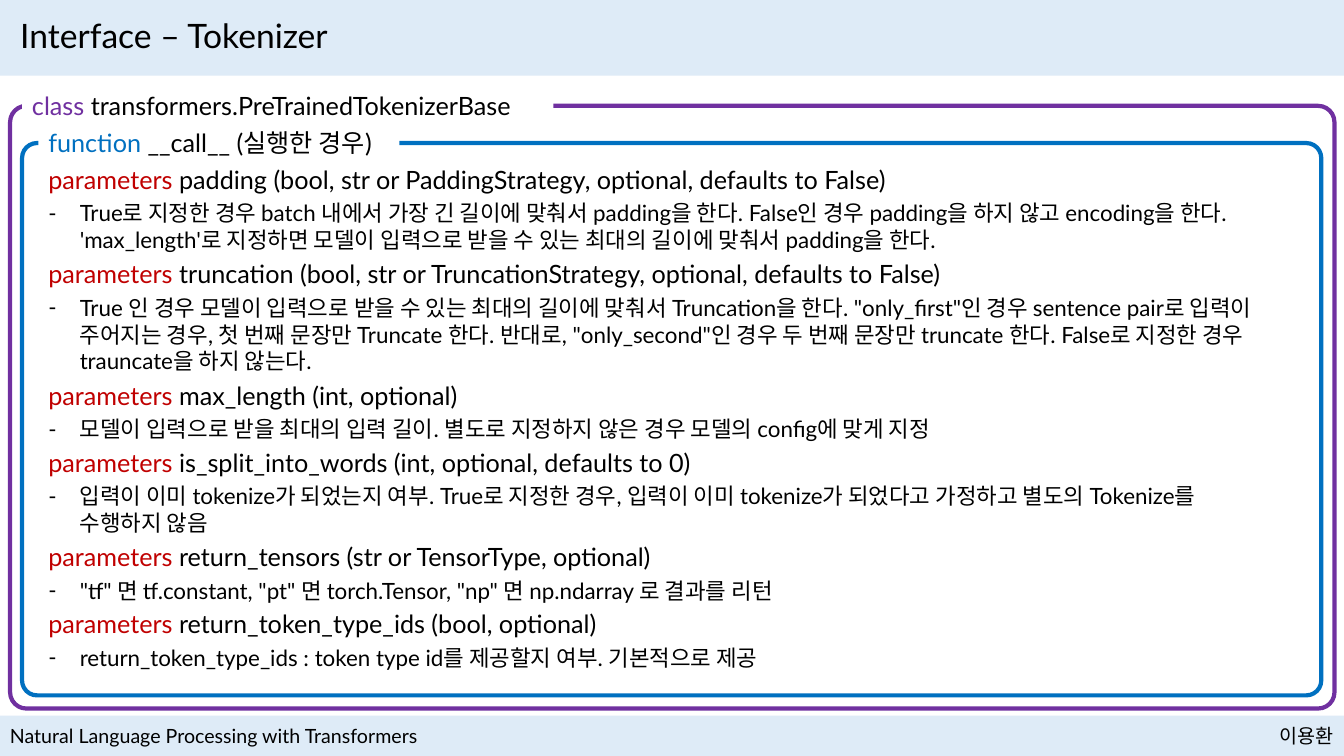
"""Build the Tokenizer interface slide with nested class and function frames."""
from dataclasses import dataclass

from lxml import etree
from pptx import Presentation
from pptx import util as u
from pptx.dml.color import RGBColor
from pptx.enum import shapes, text
from pptx.oxml.ns import qn

FONT = "Lato"
COLORS = {
    "band": "DEEBF7",
    "white": "FFFFFF",
    "black": "000000",
    "class": "7030A0",
    "function": "0070C0",
    "parameters": "C00000",
}
SLIDE_WIDTH, SLIDE_HEIGHT = 960, 540
FIRST_TOP, DESCRIPTION_OFFSET = 113.8, 25.2
BASE_STEP, LINE_STEP = 28.4, 19.5
TEXT_LEFT = 27.4


@dataclass
class Box:
    """Hold a rectangle in points."""

    left: float
    top: float
    width: float
    height: float

    def lengths(self) -> list[u.Length]:
        """Return the four measures as lengths."""
        return [u.Pt(value) for value in (self.left, self.top, self.width, self.height)]


@dataclass
class Frame:
    """Describe a rounded frame with a label on its top edge."""

    keyword: str
    label: str
    outline: Box
    label_box: Box


@dataclass
class Parameter:
    """Describe one parameter and the line count of its description."""

    signature: str
    description: str
    lines: int


FRAMES = [
    Frame("class", "transformers.PreTrainedTokenizerBase",
          Box(7.2, 75.6, 946, 430.5), Box(15.8, 60.5, 379.5, 29)),
    Frame("function", "__call__ (실행한 경우)",
          Box(15.8, 102.2, 928, 394.5), Box(27.4, 87.1, 257.8, 29)),
]

PARAMETERS = [
    Parameter(
        "padding (bool, str or PaddingStrategy, optional, defaults to False)",
        "True로 지정한 경우 batch 내에서 가장 긴 길이에 맞춰서 padding을 한다. "
        "False인 경우 padding을 하지 않고 encoding을 한다. 'max_length'로 지정하면 "
        "모델이 입력으로 받을 수 있는 최대의 길이에 맞춰서 padding을 한다.", 2),
    Parameter(
        "truncation (bool, str or TruncationStrategy, optional, defaults to False)",
        "True 인 경우 모델이 입력으로 받을 수 있는 최대의 길이에 맞춰서 Truncation을 한다. "
        "\"only_first\"인 경우 sentence pair로 입력이 주어지는 경우, 첫 번째 문장만 "
        "Truncate 한다. 반대로, \"only_second\"인 경우 두 번째 문장만 truncate 한다. "
        "False로 지정한 경우 trauncate을 하지 않는다.", 3),
    Parameter(
        "max_length (int, optional)",
        "모델이 입력으로 받을 최대의 입력 길이. 별도로 지정하지 않은 경우 "
        "모델의 config에 맞게 지정", 1),
    Parameter(
        "is_split_into_words (int, optional, defaults to 0)",
        "입력이 이미 tokenize가 되었는지 여부. True로 지정한 경우, 입력이 이미 "
        "tokenize가 되었다고 가정하고 별도의 Tokenize를 수행하지 않음", 2),
    Parameter(
        "return_tensors (str or TensorType, optional)",
        "\"tf\" 면 tf.constant, \"pt\" 면 torch.Tensor, \"np\" 면 np.ndarray 로 결과를 리턴", 1),
    Parameter(
        "return_token_type_ids (bool, optional)",
        "return_token_type_ids : token type id를 제공할지 여부. 기본적으로 제공", 1),
]


def rgb(name: str) -> RGBColor:
    """Look up a named colour."""
    return RGBColor.from_string(COLORS[name])


def format_run(run, size: float, color: str = "black") -> None:
    """Set the font, size and colour of a run."""
    run.font.name = FONT
    run.font.size = u.Pt(size)
    run.font.color.rgb = rgb(color)


def write_keyword(shape, keyword: str, rest: str) -> None:
    """Write a coloured keyword followed by black text."""
    shape.text_frame.word_wrap = True
    paragraph = shape.text_frame.paragraphs[0]
    paragraph.alignment = text.PP_ALIGN.LEFT
    for content, color in ((f"{keyword} ", keyword), (rest, "black")):
        run = paragraph.add_run()
        run.text = content
        format_run(run, 18, color)


def add_text(slide, box: Box, content: str, size: float,
             alignment: text.PP_ALIGN = text.PP_ALIGN.LEFT):
    """Add a wrapped single-paragraph text box and return its paragraph."""
    shape = slide.shapes.add_textbox(*box.lengths())
    shape.text_frame.text = content
    shape.text_frame.word_wrap = True
    paragraph = shape.text_frame.paragraphs[0]
    paragraph.alignment = alignment
    format_run(paragraph.runs[0], size)
    return paragraph


def add_filled(parent, box: Box, color: str):
    """Add a borderless filled rectangle."""
    shape = parent.shapes.add_shape(shapes.MSO_SHAPE.RECTANGLE, *box.lengths())
    shape.shadow.inherit = False
    shape.fill.solid()
    shape.fill.fore_color.rgb = rgb(color)
    shape.line.fill.background()
    return shape


def add_frame(slide, frame: Frame) -> None:
    """Add a grouped rounded frame and its label."""
    group = slide.shapes.add_group_shape()
    outline = group.shapes.add_shape(
        shapes.MSO_SHAPE.ROUNDED_RECTANGLE, *frame.outline.lengths())
    outline.adjustments[0] = 0.027
    outline.shadow.inherit = False
    outline.fill.background()
    outline.line.color.rgb = rgb(frame.keyword)
    outline.line.width = u.Pt(3)
    write_keyword(add_filled(group, frame.label_box, "white"), frame.keyword, frame.label)


def add_parameter(slide, parameter: Parameter, top: float) -> None:
    """Add a parameter heading and its dashed description."""
    heading = slide.shapes.add_textbox(*Box(TEXT_LEFT, top, 823.7, 29).lengths())
    write_keyword(heading, "parameters", parameter.signature)
    box = Box(TEXT_LEFT, top + DESCRIPTION_OFFSET, 875.5, 7.2 + LINE_STEP * parameter.lines)
    paragraph = add_text(slide, box, parameter.description, 16)
    properties = paragraph._p.get_or_add_pPr()
    properties.set("marL", str(u.Pt(22.5)))
    properties.set("indent", str(u.Pt(-22.5)))
    etree.SubElement(properties, qn("a:buFont"), typeface=FONT)
    etree.SubElement(properties, qn("a:buChar"), char="-")


def format_title(title) -> None:
    """Place the title above the header band and format it."""
    title.left, title.top, title.width, title.height = Box(7.2, 7.2, 946, 39.6).lengths()
    title.text_frame.text = "Interface – Tokenizer"
    title.text_frame.vertical_anchor = text.MSO_ANCHOR.MIDDLE
    paragraph = title.text_frame.paragraphs[0]
    paragraph.alignment = text.PP_ALIGN.LEFT
    paragraph.line_spacing = 0.9
    format_run(paragraph.runs[0], 24)
    title.element.getparent().append(title.element)


def main() -> None:
    """Create and save the presentation."""
    presentation = Presentation()
    presentation.slide_width = u.Pt(SLIDE_WIDTH)
    presentation.slide_height = u.Pt(SLIDE_HEIGHT)
    slide = presentation.slides.add_slide(presentation.slide_layouts[5])
    add_filled(slide, Box(0, 0, SLIDE_WIDTH, 54), "band")
    add_filled(slide, Box(0, 511.2, SLIDE_WIDTH, 28.8), "band")
    add_text(slide, Box(0, 513.4, 324, 24.5),
             "Natural Language Processing with Transformers", 14)
    add_text(slide, Box(894.5, 513.4, 65.5, 24.5), "이용환", 14, text.PP_ALIGN.RIGHT)
    format_title(slide.shapes.title)
    for frame in FRAMES:
        add_frame(slide, frame)
    top = FIRST_TOP
    for parameter in PARAMETERS:
        add_parameter(slide, parameter, top)
        top += BASE_STEP + LINE_STEP * parameter.lines
    presentation.save("out.pptx")


if __name__ == "__main__":
    main()
